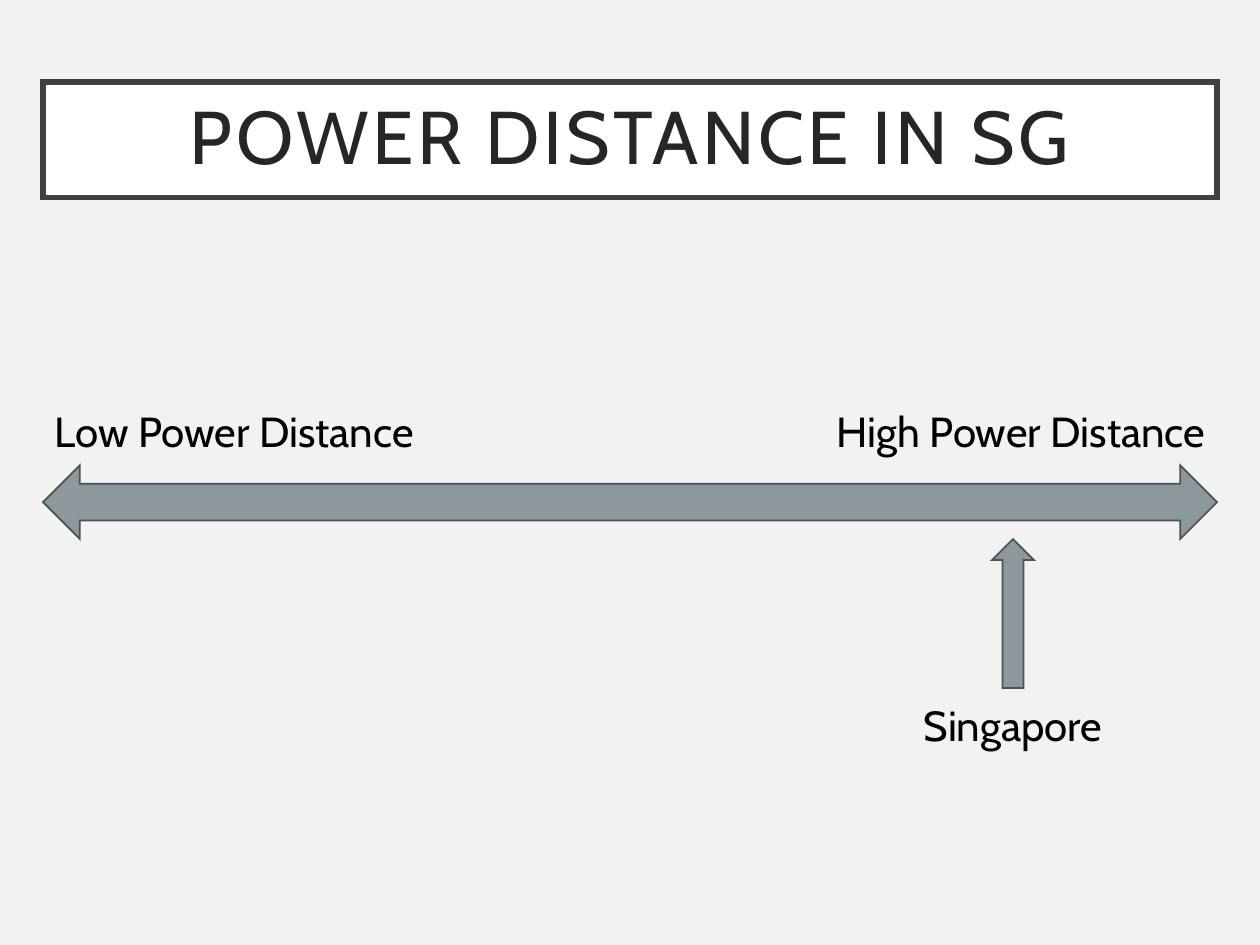
from dataclasses import dataclass

from lxml import etree
from pptx import Presentation
from pptx.dml.color import RGBColor
from pptx.enum.shapes import MSO_SHAPE
from pptx.enum.text import MSO_ANCHOR, PP_ALIGN
from pptx.oxml.ns import qn
from pptx.shapes.autoshape import Shape
from pptx.slide import Slide
from pptx.util import Inches, Pt

RECT = MSO_SHAPE.RECTANGLE
SPAN_ARROW = MSO_SHAPE.LEFT_RIGHT_ARROW
UP_ARROW = MSO_SHAPE.UP_ARROW
LEFT, CENTER, RIGHT = PP_ALIGN.LEFT, PP_ALIGN.CENTER, PP_ALIGN.RIGHT
MIDDLE = MSO_ANCHOR.MIDDLE


@dataclass(frozen=True)
class Theme:
    font: str = "Cabin"
    background: str = "F2F2F2"
    panel: str = "FFFFFF"
    border: str = "404040"
    heading: str = "262626"
    text: str = "000000"
    arrow: str = "8D989D"
    outline: str = "4A5356"
    title_size: float = 32
    label_size: float = 18
    title_spacing: float = 1.5
    border_width: float = 2.5
    outline_width: float = 0.75


@dataclass(frozen=True)
class Area:
    """Percentages of the slide's width and height."""
    x: float
    y: float
    w: float
    h: float


@dataclass(frozen=True)
class Block:
    kind: MSO_SHAPE
    area: Area
    fill: str
    line: str
    line_width: float


@dataclass(frozen=True)
class Label:
    text: str
    area: Area
    align: PP_ALIGN


THEME = Theme()
WIDTH = Inches(7.5)
HEIGHT = WIDTH * 3 // 4

MARGIN = 3.41
FULL = 100 - 2 * MARGIN
ROW = 7.78
LABEL_Y = 41.7
SCALE_Y = 49.26
POINTER_Y = SCALE_Y + ROW
POINTER_H = 15.77
CAPTION_Y = POINTER_Y + POINTER_H
POINTER_MID = 80.4
POINTER_W = 3.33
LOW_W, HIGH_W, CAPTION_W = 34.27, 38.67, 17.2

TITLE = Block(RECT, Area(MARGIN, 8.71, FULL, 12.2),
              THEME.panel, THEME.border, THEME.border_width)
ARROWS = [
    Block(kind, area, THEME.arrow, THEME.outline, THEME.outline_width)
    for kind, area in (
        (SPAN_ARROW, Area(MARGIN, SCALE_Y, FULL, ROW)),
        (UP_ARROW, Area(POINTER_MID - POINTER_W / 2, POINTER_Y,
                        POINTER_W, POINTER_H)),
    )
]
LABELS = [
    Label("Low Power Distance", Area(MARGIN, LABEL_Y, LOW_W, ROW), LEFT),
    Label("High Power Distance",
          Area(100 - MARGIN - HIGH_W, LABEL_Y, HIGH_W, ROW), RIGHT),
    Label("Singapore", Area(POINTER_MID - CAPTION_W / 2, CAPTION_Y,
                            CAPTION_W, ROW), CENTER),
]


def place(area: Area) -> tuple[int, int, int, int]:
    return (round(WIDTH * area.x / 100), round(HEIGHT * area.y / 100),
            round(WIDTH * area.w / 100), round(HEIGHT * area.h / 100))


def add_block(s: Slide, block: Block) -> Shape:
    sp = s.shapes.add_shape(block.kind, *place(block.area))
    sp.shadow.inherit = False
    sp.fill.solid()
    sp.fill.fore_color.rgb = RGBColor.from_string(block.fill)
    sp.line.color.rgb = RGBColor.from_string(block.line)
    sp.line.width = Pt(block.line_width)
    ln = sp._element.spPr.find(qn("a:ln"))
    etree.SubElement(ln, qn("a:miter")).set("lim", "800000")
    return sp


def write(sp: Shape, text: str, align: PP_ALIGN, size: float,
          color: str, inset: float, line_spacing: float = 1.0,
          tracking: float = 0) -> None:
    tf = sp.text_frame
    frame = {"word_wrap": True, "vertical_anchor": MIDDLE}
    frame |= {f"margin_{side}": Inches(inset)
              for side in ("left", "top", "right", "bottom")}
    for name, value in frame.items():
        setattr(tf, name, value)
    p = tf.paragraphs[0]
    p.alignment = align
    p.line_spacing = line_spacing
    r = p.add_run()
    r.text = text
    for name, value in {"name": THEME.font, "size": Pt(size)}.items():
        setattr(r.font, name, value)
    r.font.color.rgb = RGBColor.from_string(color)
    if tracking:
        r._r.get_or_add_rPr().set("spc", str(round(tracking * 100)))


def add_label(s: Slide, label: Label) -> None:
    sp = s.shapes.add_textbox(*place(label.area))
    write(sp, label.text, label.align, THEME.label_size, THEME.text, 0.07)


def main() -> None:
    prs = Presentation()
    prs.slide_width, prs.slide_height = WIDTH, HEIGHT
    s = prs.slides.add_slide(prs.slide_layouts[6])
    s.background.fill.solid()
    s.background.fill.fore_color.rgb = RGBColor.from_string(THEME.background)

    write(add_block(s, TITLE), "POWER DISTANCE IN SG", CENTER,
          THEME.title_size, THEME.heading, 0.1, 0.9, THEME.title_spacing)
    for arrow in ARROWS:
        add_block(s, arrow)
    for label in LABELS:
        add_label(s, label)
    prs.save("out.pptx")


if __name__ == "__main__":
    main()
